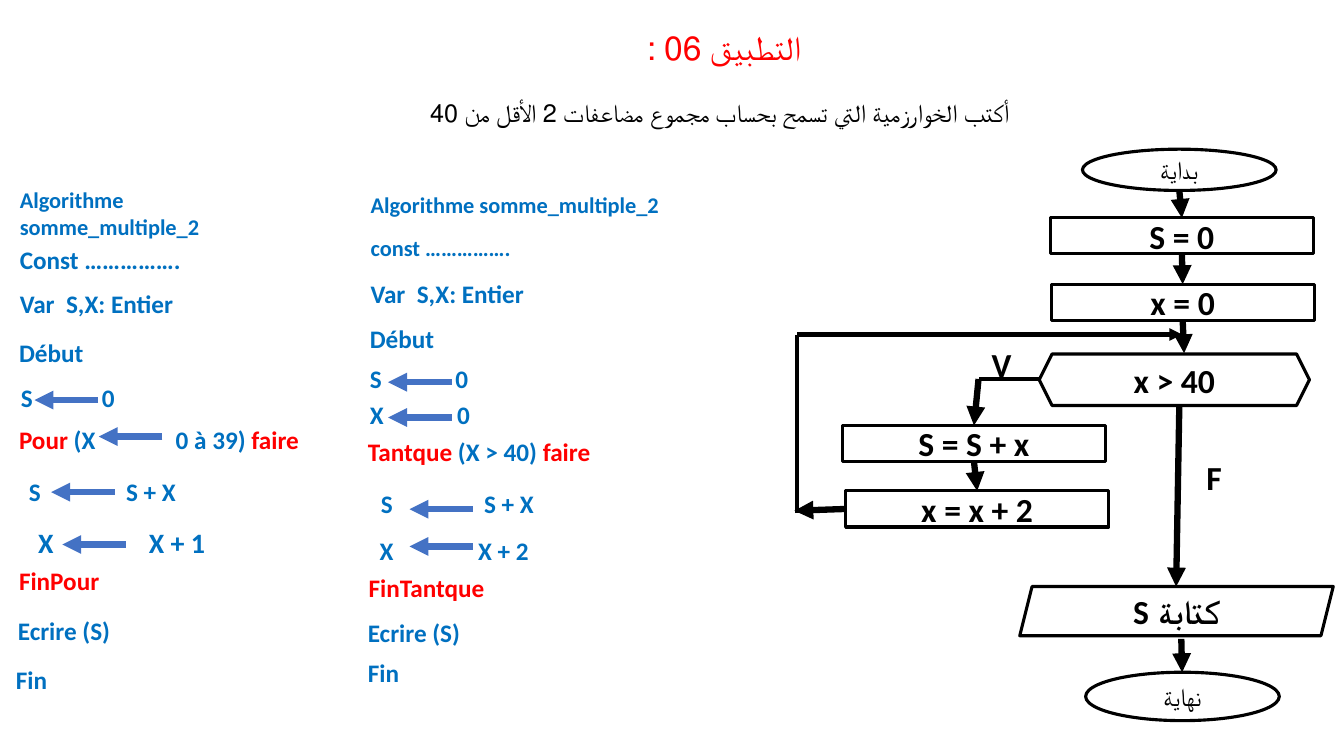
from lxml import etree
from pptx import Presentation
from pptx import util as u
from pptx.dml.color import RGBColor
from pptx.enum import shapes, text
from pptx.oxml.ns import qn

BLACK = RGBColor(0x00, 0x00, 0x00)
WHITE = RGBColor(0xFF, 0xFF, 0xFF)
RED = RGBColor(0xFF, 0x00, 0x00)
CODE_BLUE = RGBColor(0x00, 0x70, 0xC0)
ARROW_BLUE = RGBColor(0x44, 0x72, 0xC4)

STEP_FORMAT = {"name": "Calibri", "size": u.Pt(24), "bold": True}
TERMINAL_FORMAT = {"name": "Lato", "size": u.Pt(18)}
STEP_SIZE = (6.63, 0.91)
ASSIGN_LENGTH = 1.6

# Code lines: left, top, width, point size, tab stop, coloured runs (cm)
FOR_ALGORITHM = [
    (0.25, 4.57, 7.6, 16, None, [("Algorithme somme_multiple_2", CODE_BLUE)]),
    (0.25, 6.02, 7.29, 18, None, [("Const …………….", CODE_BLUE)]),
    (0.25, 7.14, 7.29, 18, None, [("Var  S,X: Entier", CODE_BLUE)]),
    (0.23, 8.38, 7.29, 18, None, [("Début", CODE_BLUE)]),
    (0.28, 9.5, 7.29, 18, 2.04, [("S\t0", CODE_BLUE)]),
    (0.23, 10.57, 8.51, 18, 3.95,
     [("Pour", RED), (" (X\t0 à 39) ", CODE_BLUE), ("faire", RED)]),
    (0.48, 11.89, 7.29, 18, 2.45, [("S\tS + X", CODE_BLUE)]),
    (0.71, 13.11, 6.71, 20, 2.79, [("X\tX + 1", CODE_BLUE)]),
    (0.23, 14.12, 7.29, 18, None, [("FinPour", RED)]),
    (0.2, 15.37, 7.29, 18, None, [("Ecrire (S)", CODE_BLUE)]),
    (0.15, 16.61, 7.29, 18, None, [("Fin", CODE_BLUE)]),
]
WHILE_ALGORITHM = [
    (9.09, 4.7, 7.85, 16, None, [("Algorithme somme_multiple_2", CODE_BLUE)]),
    (9.09, 5.77, 7.29, 16, None, [("const …………….", CODE_BLUE)]),
    (9.09, 6.88, 7.29, 18, None, [("Var  S,X: Entier", CODE_BLUE)]),
    (9.07, 8.03, 7.29, 18, None, [("Début", CODE_BLUE)]),
    (9.07, 9.04, 7.29, 18, 2.16, [("S\t0", CODE_BLUE)]),
    (9.07, 9.93, 7.29, 18, 2.2, [("X\t0", CODE_BLUE)]),
    (9.02, 10.87, 7.29, 18, None,
     [("Tantque", RED), (" (X > 40) ", CODE_BLUE), ("faire", RED)]),
    (9.35, 12.19, 7.29, 18, 2.6, [("S\tS + X", CODE_BLUE)]),
    (9.32, 13.36, 7.29, 18, 2.48, [("X\tX + 2", CODE_BLUE)]),
    (9.04, 14.3, 7.29, 18, None, [("FinTantque", RED)]),
    (9.02, 15.42, 7.29, 18, None, [("Ecrire (S)", CODE_BLUE)]),
    (9.02, 16.43, 7.29, 18, None, [("Fin", CODE_BLUE)]),
]
# Tips of the assignment arrows
ASSIGN_TIPS = [(0.87, 10.08), (2.49, 11.0), (1.29, 12.4), (1.57, 13.72),
               (9.78, 9.63), (9.78, 10.52), (10.32, 12.83), (10.32, 13.77)]


def style(target, values):
    for attribute, value in values.items():
        setattr(target, attribute, value)


def add_run(paragraph, words, colour, font_format):
    run = paragraph.add_run()
    run.text = words
    style(run.font, font_format)
    run.font.color.rgb = colour


def set_rtl(paragraph):
    paragraph._p.get_or_add_pPr().set("rtl", "1")


def add_label(slide, left, top, width, height=1.02):
    frame = slide.shapes.add_textbox(*map(u.Cm, (left, top, width, height))).text_frame
    style(frame, {"word_wrap": True,
                  "auto_size": text.MSO_AUTO_SIZE.SHAPE_TO_FIT_TEXT})
    return frame


def add_code_line(slide, left, top, width, size, tab, runs):
    paragraph = add_label(slide, left, top, width).paragraphs[0]
    if tab:
        tabs = etree.SubElement(paragraph._p.get_or_add_pPr(), qn("a:tabLst"))
        etree.SubElement(tabs, qn("a:tab"), pos=str(u.Cm(tab)), algn="l")
    for words, colour in runs:
        add_run(paragraph, words, colour,
                {"name": "Calibri", "size": u.Pt(size), "bold": True})


def add_node(slide, kind, box, words, font_format=STEP_FORMAT, rtl=False):
    node = slide.shapes.add_shape(kind, *map(u.Cm, box))
    node.shadow.inherit = False
    node.fill.solid()
    node.fill.fore_color.rgb = WHITE
    node.line.color.rgb = BLACK
    node.line.width = u.Pt(2.25)
    node.text_frame.vertical_anchor = text.MSO_ANCHOR.MIDDLE
    paragraph = node.text_frame.paragraphs[0]
    paragraph.alignment = text.PP_ALIGN.CENTER
    if rtl:
        set_rtl(paragraph)
    add_run(paragraph, words, BLACK, font_format)
    return node


def add_step(slide, left, top, words):
    return add_node(slide, shapes.MSO_SHAPE.RECTANGLE,
                    (left, top, *STEP_SIZE), words)


def add_link(slide, ends, colour=BLACK, width=4.5, arrow=True,
             source=None, target=None):
    link = slide.shapes.add_connector(shapes.MSO_CONNECTOR.STRAIGHT,
                                      *map(u.Cm, ends))
    link.line.color.rgb = colour
    link.line.width = u.Pt(width)
    if arrow:
        etree.SubElement(link.line._get_or_add_ln(), qn("a:tailEnd"), type="triangle")
    etree.SubElement(link._element.spPr, qn("a:effectLst"))
    if source:
        link.begin_connect(*source)
    if target:
        link.end_connect(*target)


def add_heading(slide):
    frame = add_label(slide, 5.56, 0.56, 25.17, 2.82)
    title, task = frame.paragraphs[0], frame.add_paragraph()
    for paragraph in (title, task):
        paragraph.alignment = text.PP_ALIGN.CENTER
        set_rtl(paragraph)
    task.line_spacing = 2.0
    add_run(title, "التطبيق 06 : ", RED, {"name": "Lato", "size": u.Pt(24)})
    add_run(task, "أكتب الخوارزمية التي تسمح بحساب مجموع مضاعفات 2 الأقل من 40",
            BLACK, {"size": u.Pt(18)})


def add_flowchart(slide):
    # Nodes
    preset = shapes.MSO_SHAPE
    add_node(slide, preset.OVAL, (27.28, 3.76, 4.88, 1.04), "بداية", TERMINAL_FORMAT)
    add_node(slide, preset.OVAL, (27.36, 16.94, 4.88, 1.22), "نهاية", TERMINAL_FORMAT)
    add_node(slide, preset.PARALLELOGRAM, (25.7, 14.78, 7.9, 1.24), "كتابة S", rtl=True)
    add_node(slide, preset.HEXAGON, (26.19, 8.92, 6.81, 1.3), "x > 40")
    init_sum = add_step(slide, 26.47, 5.49, "S = 0")
    init_x = add_step(slide, 26.49, 7.16, "x = 0")
    add_to_sum = add_step(slide, 21.23, 10.72, "S = S + x")
    next_x = add_step(slide, 21.31, 12.37, "x = x + 2")

    # Main path
    add_link(slide, (29.72, 4.8, 29.74, 5.49), target=(init_sum, 0))
    add_link(slide, (29.78, 6.4, 29.8, 7.16), source=(init_sum, 2), target=(init_x, 0))
    add_link(slide, (29.8, 8.07, 29.84, 8.9), source=(init_x, 2))
    add_link(slide, (29.72, 10.22, 29.64, 14.78))
    add_link(slide, (29.77, 16.1, 29.79, 16.94))

    # Loop body and its way back
    add_link(slide, (26.21, 9.55, 24.66, 9.55), width=3, arrow=False)
    add_link(slide, (24.66, 9.55, 24.55, 10.72), target=(add_to_sum, 0))
    add_link(slide, (24.55, 11.63, 24.62, 12.37),
             source=(add_to_sum, 2), target=(next_x, 0))
    add_link(slide, (21.31, 12.83, 20.02, 12.87), source=(next_x, 1))
    add_link(slide, (20.09, 12.93, 20.09, 8.43), width=3, arrow=False)
    add_link(slide, (20.09, 8.43, 29.79, 8.43), width=3)

    # Branch labels
    for branch, left, top in (("V", 24.74, 8.53), ("F", 30.15, 11.38)):
        frame = add_label(slide, left, top, 0.81, 1.27)
        add_run(frame.paragraphs[0], branch, BLACK, STEP_FORMAT)


def main():
    deck = Presentation()
    style(deck, {"slide_width": u.Cm(33.87), "slide_height": u.Cm(19.05)})
    slide = deck.slides.add_slide(deck.slide_layouts[6])
    add_heading(slide)
    add_flowchart(slide)
    for code_line in FOR_ALGORITHM + WHILE_ALGORITHM:
        add_code_line(slide, *code_line)
    for tip, level in ASSIGN_TIPS:
        add_link(slide, (tip + ASSIGN_LENGTH, level, tip, level), ARROW_BLUE)
    deck.save("out.pptx")


if __name__ == "__main__":
    main()
